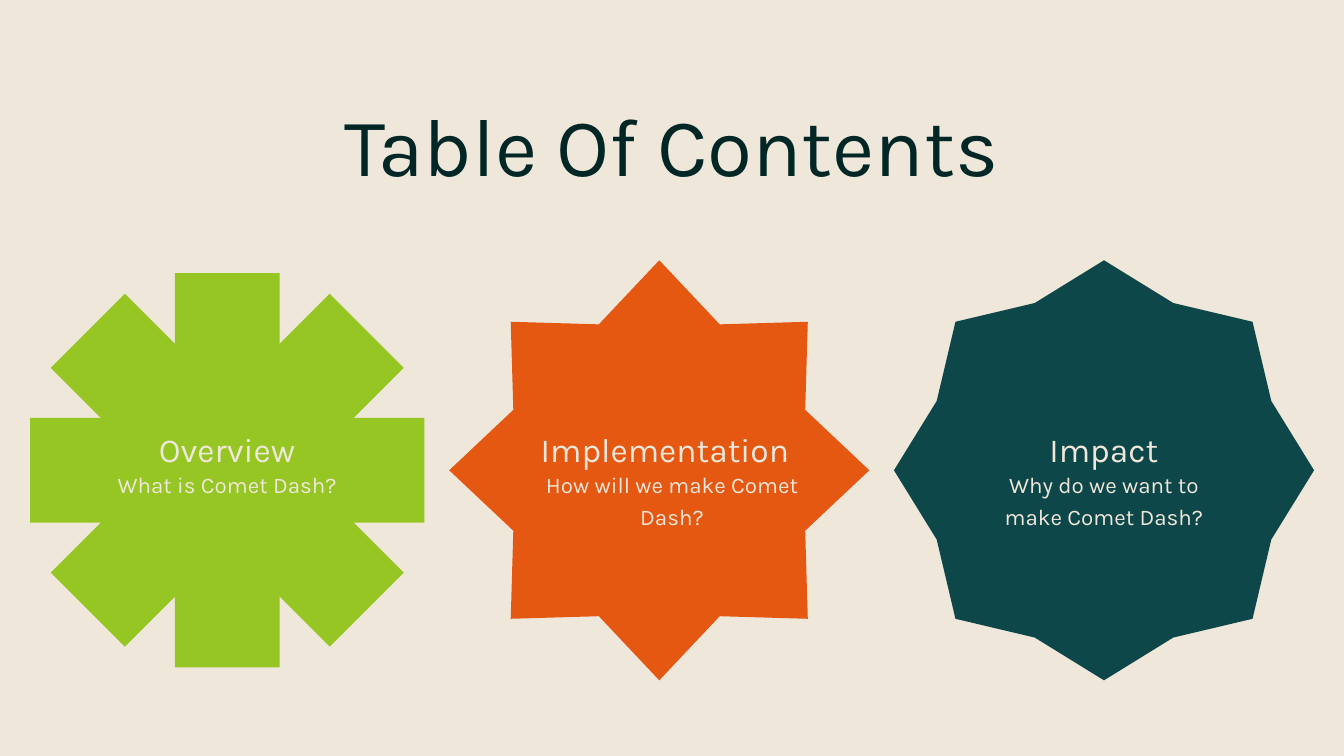
from dataclasses import dataclass

from pptx import Presentation
from pptx.dml.color import RGBColor as RGB
from pptx.enum.shapes import MSO_SHAPE as Kind
from pptx.enum.text import MSO_ANCHOR as Anchor, PP_ALIGN as Align
from pptx.util import Cm, Pt


@dataclass(frozen=True)
class Theme:
    font: str = "Karla"
    cream: str = "EFE7DA"
    ink: str = "002626"
    green: str = "95C623"
    orange: str = "E55812"
    teal: str = "0E4749"
    title: int = 88
    head: int = 36
    note: int = 24


class Deck:
    """Holds the theme and the current slide."""

    def __init__(self, theme, wide, high):
        self.theme = theme
        self.prs = Presentation()
        self.prs.slide_width, self.prs.slide_height = Cm(wide), Cm(high)

    def page(self):
        self.slide = self.prs.slides.add_slide(self.prs.slide_layouts[6])
        fill = self.slide.background.fill
        fill.solid()
        fill.fore_color.rgb = RGB.from_string(self.theme.cream)

    def shape(self, kind, mid_x, mid_y, wide, high, color, turn=0):
        item = self.slide.shapes.add_shape(
            kind, Cm(mid_x - wide / 2), Cm(mid_y - high / 2), Cm(wide), Cm(high))
        item.rotation = turn
        item.shadow.inherit = False
        item.fill.solid()
        item.fill.fore_color.rgb = RGB.from_string(color)
        item.line.fill.background()
        return item

    def burst(self, mid_x, mid_y, wide, high, color, turns):
        """Bars crossed at one centre."""
        for turn in turns:
            self.shape(Kind.RECTANGLE, mid_x, mid_y, wide, high, color, turn)

    def star(self, mid_x, mid_y, size, color, inner):
        """Eight-point star; inner is the inner radius over the full width."""
        item = self.shape(Kind.STAR_8_POINT, mid_x, mid_y, size, size, color)
        item.adjustments[0] = inner

    def text(self, words, left, top, wide, high, size, color):
        frame = self.slide.shapes.add_textbox(
            Cm(left), Cm(top), Cm(wide), Cm(high)).text_frame
        frame.word_wrap = True
        frame.vertical_anchor = Anchor.TOP
        frame.margin_left = frame.margin_right = 0
        frame.margin_top = frame.margin_bottom = 0
        para = frame.paragraphs[0]
        para.text = words
        para.alignment = Align.CENTER
        para.line_spacing = 1.2
        para.font.name = self.theme.font
        para.font.size = Pt(size)
        para.font.color.rgb = RGB.from_string(color)


def main():
    look = Theme()
    deck = Deck(look, 50.8, 28.58)
    deck.page()

    # Three emblems on one axis
    axis = 17.78
    deck.burst(8.59, axis, 3.96, 14.91, look.green, (0, 90, 45, 135))
    deck.star(24.92, axis, 15.88, look.orange, 0.376)
    deck.star(41.73, axis, 15.88, look.teal, 0.431)

    # Title
    deck.text("Table Of Contents", 2.46, 2.82, 45.85, 3.76, look.title, look.ink)

    # Head and note of each part: words, left, width
    parts = [
        (("Overview", 3.99, 9.19), ("What is Comet Dash?", 3.99, 9.19)),
        (("Implementation", 19.84, 10.59),
         ("How will we make Comet Dash?", 20.37, 10.06)),
        (("Impact", 37.13, 9.19),
         ("Why do we want to make Comet Dash?", 37.13, 9.19)),
    ]
    rows = ((15.9, 1.55, look.head), (17.6, 2.26, look.note))
    for part in parts:
        for (words, left, wide), (top, high, size) in zip(part, rows):
            deck.text(words, left, top, wide, high, size, look.cream)

    deck.prs.save("out.pptx")


if __name__ == "__main__":
    main()
